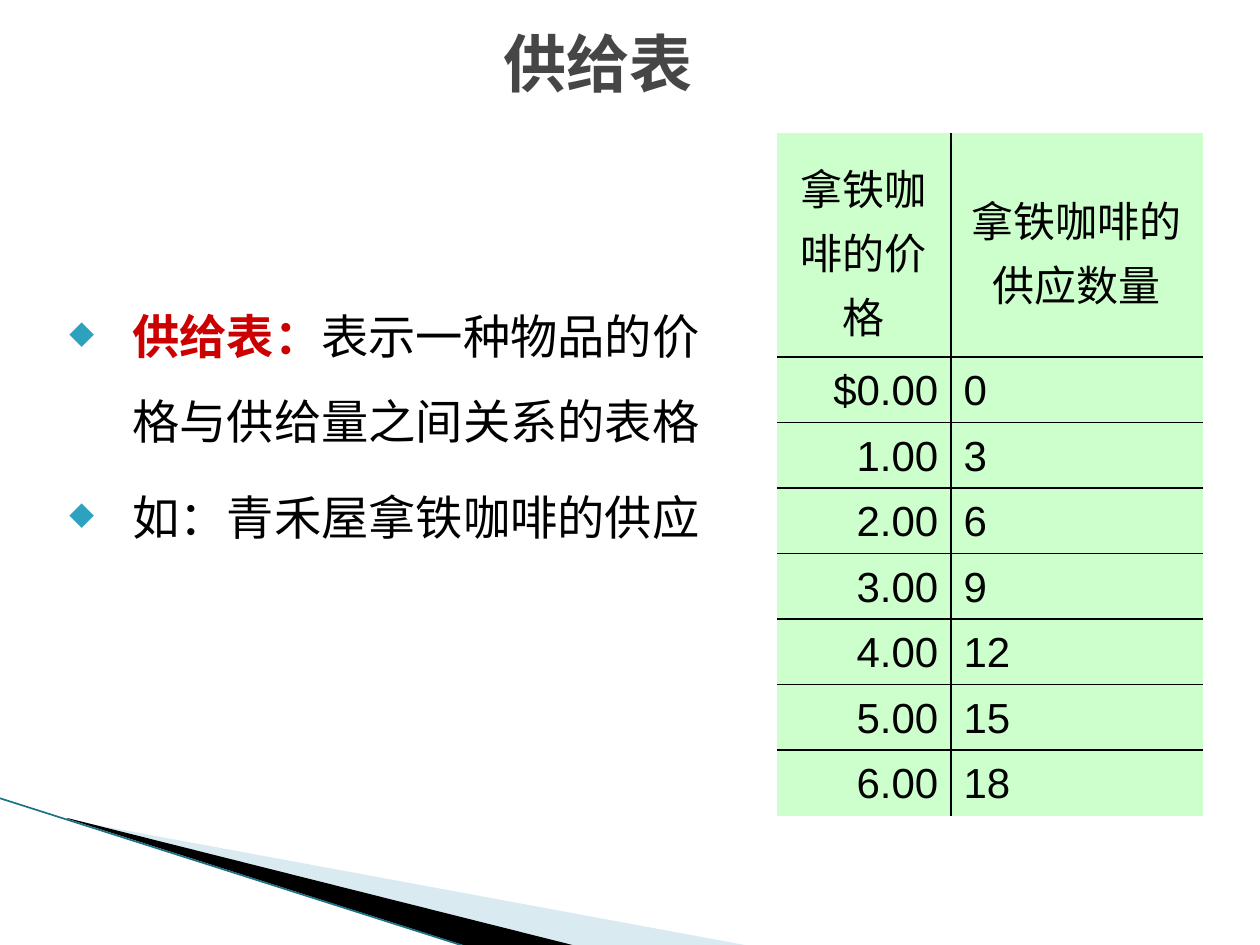
from dataclasses import dataclass

from lxml.etree import SubElement
from pptx import Presentation
from pptx.dml.color import RGBColor
from pptx.enum.shapes import MSO_CONNECTOR as Connector
from pptx.enum.text import MSO_ANCHOR as Anchor, PP_ALIGN as Align
from pptx.oxml.ns import qn
from pptx.util import Emu, Pt


@dataclass(frozen=True)
class Theme:
    title: str = "464646"
    text: str = "000000"
    accent: str = "CC0000"
    bullet: str = "2DA2BF"
    cell: str = "CCFFCC"
    pale: str = "A0CBDC"
    dark: str = "000000"
    edge: str = "1B7287"
    heading_font: str = "Courier New"
    table_font: str = "Arial"
    title_size: int = 36
    body_size: int = 27
    table_size: int = 24


@dataclass(frozen=True)
class Wedge:
    points: list[tuple[int, int]]
    color: str
    opacity: int


@dataclass(frozen=True)
class Span:
    text: str
    size: int
    font: str
    color: str
    bold: bool = False


THEME = Theme()
WEDGES = [
    Wedge([(69, 820), (750, 946), (575, 946), (69, 819)], THEME.pale, 40),
    Wedge([(67, 818), (576, 946), (469, 947), (68, 819)], THEME.dark, 100),
]
BULLETS = [
    [Span("供给表：", THEME.body_size, THEME.heading_font, THEME.accent, True),
     Span("表示一种物品的价格与供给量之间关系的表格",
          THEME.body_size, THEME.heading_font, THEME.text)],
    [Span("如：青禾屋拿铁咖啡的供应",
          THEME.body_size, THEME.heading_font, THEME.text)],
]
HEADERS = ("拿铁咖啡的价格", "拿铁咖啡的供应数量")
SUPPLY = [(f"{'$' if price == 0 else ''}{price:.2f}", str(price * 3))
          for price in range(7)]


def px(value: int) -> Emu:
    return Emu(round(value * 914400 / 126))


def set_values(target, values: dict) -> None:
    for name, value in values.items():
        setattr(target, name, value)


def add_span(para, span: Span) -> None:
    run = para.add_run()
    run.text = span.text
    set_values(run.font, {"size": Pt(span.size), "name": span.font, "bold": span.bold})
    run.font.color.rgb = RGBColor.from_string(span.color)
    if span.font == THEME.heading_font:
        properties = run.font._element
        SubElement(properties, qn("a:ea"), typeface=span.font)


def add_box(page, left: int, top: int, width: int, height: int, anchor):
    frame = page.shapes.add_textbox(px(left), px(top), px(width), px(height)).text_frame
    set_values(frame, {"word_wrap": True, "vertical_anchor": anchor})
    return frame


def add_bullet(para) -> None:
    properties = para._p.get_or_add_pPr()
    properties.set("marL", str(px(78)))
    properties.set("indent", str(-px(63)))
    color = SubElement(properties, qn("a:buClr"))
    SubElement(color, qn("a:srgbClr"), val=THEME.bullet)
    SubElement(properties, qn("a:buSzPct"), val="68000")
    SubElement(properties, qn("a:buChar"), char="◆")


def add_wedge(page, wedge: Wedge) -> None:
    points = [(px(x), px(y)) for x, y in wedge.points]
    builder = page.shapes.build_freeform(*points[0])
    builder.add_line_segments(points[1:], close=True)
    shape = builder.convert_to_shape()
    shape.shadow.inherit = False
    shape.fill.solid()
    shape.fill.fore_color.rgb = RGBColor.from_string(wedge.color)
    shape.line.fill.background()
    if wedge.opacity < 100:
        color = shape._element.spPr.find(".//" + qn("a:srgbClr"))
        SubElement(color, qn("a:alpha"), val=str(wedge.opacity * 1000))


def add_edge(page) -> None:
    edge = page.shapes.add_connector(
        Connector.STRAIGHT, px(-1), px(798), px(467), px(947))
    edge.line.width = Pt(0.95)
    edge.line.color.rgb = RGBColor.from_string(THEME.edge)
    SubElement(edge._element.spPr, qn("a:effectLst"))


def add_borders(cell, sides: dict[str, bool]) -> None:
    properties = cell._tc.get_or_add_tcPr()
    for side, visible in sides.items():
        line = SubElement(properties, qn(f"a:{side}"), w=str(Pt(1)))
        if visible:
            fill = SubElement(line, qn("a:solidFill"))
            SubElement(fill, qn("a:srgbClr"), val=THEME.text)
        else:
            SubElement(line, qn("a:noFill"))


def add_supply_table(page) -> None:
    rows = [HEADERS, *SUPPLY]
    header_height, body_height = px(224), px(459)
    table = page.shapes.add_table(
        len(rows), 2, px(777), px(133), px(426), header_height + body_height).table
    set_values(table, {"first_row": False, "horz_banding": False})
    for column, width in zip(table.columns, (174, 252)):
        column.width = px(width)
    for r, values in enumerate(rows):
        table.rows[r].height = header_height if r == 0 else body_height // len(SUPPLY)
        for c, value in enumerate(values):
            cell = table.cell(r, c)
            cell.vertical_anchor = Anchor.MIDDLE
            if r == 0:
                cell.margin_top = px(16)
            # Only the inner grid lines show
            add_borders(cell, {"lnL": c > 0, "lnR": c == 0,
                               "lnT": r > 0, "lnB": r < len(rows) - 1})
            cell.fill.solid()
            cell.fill.fore_color.rgb = RGBColor.from_string(THEME.cell)
            para = cell.text_frame.paragraphs[0]
            body_align = Align.RIGHT if c == 0 else Align.LEFT
            set_values(para, {"line_spacing": 1.05,
                              "alignment": Align.CENTER if r == 0 else body_align})
            add_span(para, Span(value, THEME.table_size, THEME.table_font, THEME.text))


def main() -> None:
    deck = Presentation()
    set_values(deck, {"slide_width": px(1260), "slide_height": px(945)})
    page = deck.slides.add_slide(deck.slide_layouts[6])

    # Corner decoration
    for wedge in WEDGES:
        add_wedge(page, wedge)
    add_edge(page)

    # Title
    title = add_box(page, 0, 0, 1197, 125, Anchor.MIDDLE).paragraphs[0]
    title.alignment = Align.CENTER
    add_span(title, Span("供给表", THEME.title_size, THEME.heading_font, THEME.title, True))

    # Definition and example
    body = add_box(page, 42, 273, 703, 486, Anchor.TOP)
    for index, spans in enumerate(BULLETS):
        para = body.add_paragraph() if index else body.paragraphs[0]
        add_bullet(para)
        set_values(para, {"line_spacing": 1.5, "space_before": Pt(6 if index else 0)})
        for span in spans:
            add_span(para, span)

    # Supply schedule
    add_supply_table(page)
    deck.save("out.pptx")


if __name__ == "__main__":
    main()
